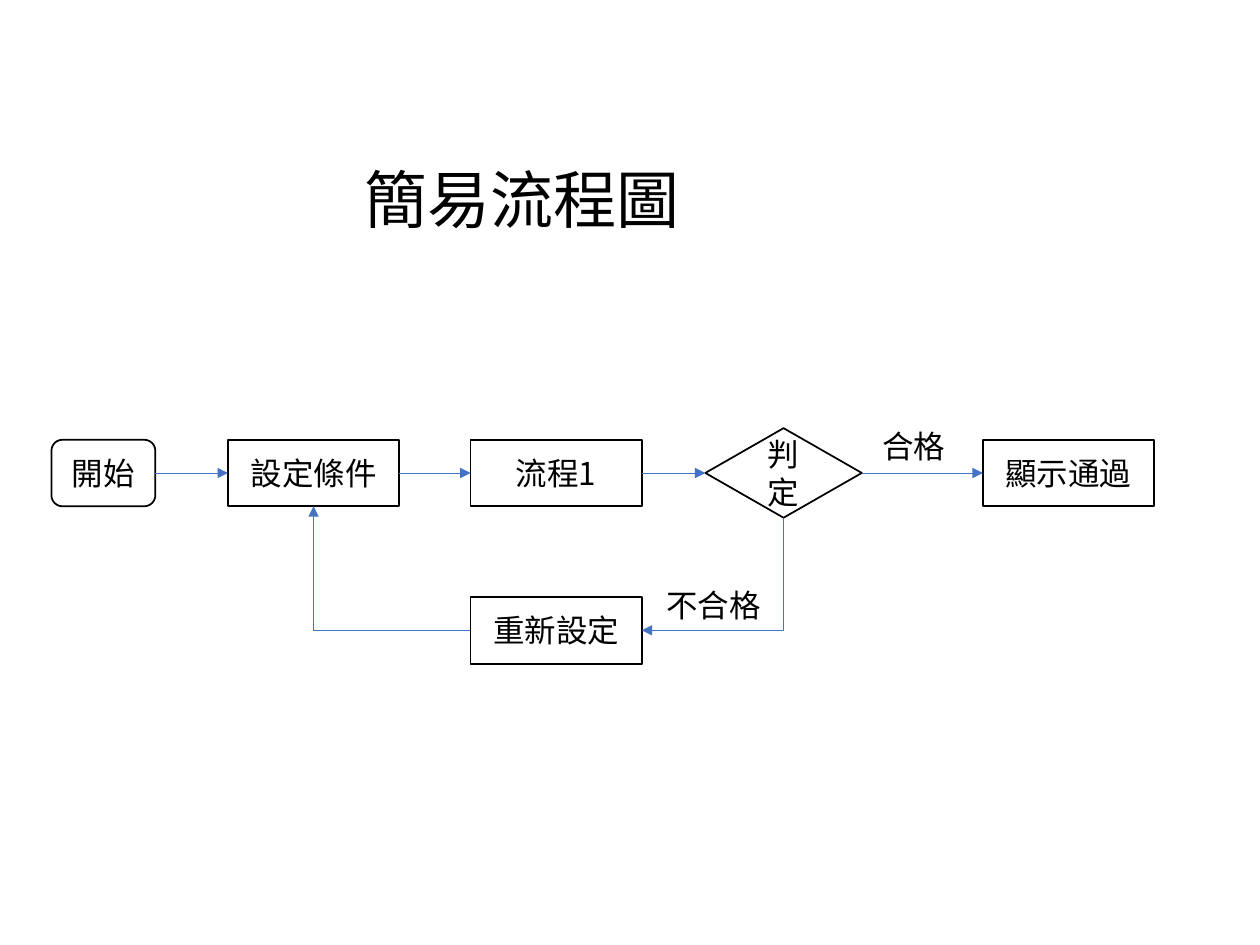
from pptx import Presentation
from pptx.dml.color import RGBColor
from pptx.enum.shapes import MSO_CONNECTOR as LINK, MSO_SHAPE as SHAPE
from pptx.enum.text import MSO_ANCHOR, MSO_AUTO_SIZE, PP_ALIGN
from pptx.oxml.ns import qn
from pptx.util import Pt
from lxml.etree import SubElement

BLACK = RGBColor(0x00, 0x00, 0x00)
WHITE = RGBColor(0xFF, 0xFF, 0xFF)
BLUE = RGBColor(0x44, 0x72, 0xC4)
FONT = "Noto Sans CJK SC"
TOP, LEFT, BOTTOM, RIGHT = range(4)  # connection sites

deck = Presentation()
deck.slide_width, deck.slide_height = Pt(720), Pt(540)
page = deck.slides.add_slide(deck.slide_layouts[6])


def write(shape, text, size):
    para = shape.text_frame.paragraphs[0]
    span = para.add_run()
    span.text = text
    span.font.size = Pt(size)
    span.font.name = FONT
    span.font.color.rgb = BLACK
    SubElement(span.font._element, qn("a:ea"), typeface=FONT)
    return para


def link(kind, start, start_site, end, end_site):
    line = page.shapes.add_connector(kind, 0, 0, 0, 0)
    line.begin_connect(start, start_site)
    line.end_connect(end, end_site)
    line.line.color.rgb = BLUE
    line.line.width = Pt(0.5)
    SubElement(line.line._get_or_add_ln(), qn("a:tailEnd"), type="triangle")
    SubElement(line._element.spPr, qn("a:effectLst"))
    return line


# Steps: left, middle, width, height; the rows share two middle lines
ROW, LOOP_ROW = 270.3, 360.2
STEP_W, STEP_H = 97.8, 38
steps = {}
for text, kind, left, middle, width, height in [
    ("開始", SHAPE.FLOWCHART_ALTERNATE_PROCESS, 29.4, ROW, 59.4, STEP_H),
    ("設定條件", SHAPE.FLOWCHART_PROCESS, 130.3, ROW, STEP_W, STEP_H),
    ("流程1", SHAPE.FLOWCHART_PROCESS, 268.9, ROW, STEP_W, STEP_H),
    ("判定", SHAPE.FLOWCHART_DECISION, 403.1, ROW, 89.4, 51.2),
    ("顯示通過", SHAPE.FLOWCHART_PROCESS, 561.6, ROW, STEP_W, STEP_H),
    ("重新設定", SHAPE.FLOWCHART_PROCESS, 268.9, LOOP_ROW, STEP_W, STEP_H),
]:
    step = page.shapes.add_shape(
        kind, Pt(left), Pt(middle - height / 2), Pt(width), Pt(height))
    step.shadow.inherit = False
    step.fill.background()
    step.line.color.rgb = BLACK
    step.line.width = Pt(1)
    step.text_frame.word_wrap = True
    step.text_frame.vertical_anchor = MSO_ANCHOR.MIDDLE
    write(step, text, 18).alignment = PP_ALIGN.CENTER
    steps[text] = step
steps["開始"].fill.solid()
steps["開始"].fill.fore_color.rgb = WHITE

# Straight arrows along the main row
*main_row, reset = steps.values()
for start, end in zip(main_row, main_row[1:]):
    link(LINK.STRAIGHT, start, RIGHT, end, LEFT)

# One-bend arrows of the loop back
to_reset = link(LINK.ELBOW, steps["判定"], BOTTOM, reset, RIGHT)
to_setup = link(LINK.ELBOW, reset, LEFT, steps["設定條件"], BOTTOM)
for bend in (to_reset, to_setup):
    bend._element.spPr.find(qn("a:prstGeom")).set("prst", "bentConnector2")

# Down, then left: a quarter turn about the centre of the bend
across, down = to_reset.width, to_reset.height
to_reset.left += (across - down) // 2
to_reset.top += (down - across) // 2
to_reset.width, to_reset.height = down, across
frame = to_reset._element.spPr.find(qn("a:xfrm"))
frame.attrib.pop("flipH", None)
frame.set("rot", str(90 * 60000))

# Title and branch labels
for text, size, left, top, width, height in [
    ("簡易流程圖", 36, 201.2, 88.2, 195.8, 50.9),
    ("合格", 18, 497.1, 240.5, 81.4, 29.1),
    ("不合格", 18, 373.7, 331.2, 81.4, 29.1),
]:
    box = page.shapes.add_textbox(Pt(left), Pt(top), Pt(width), Pt(height))
    box.text_frame.word_wrap = True
    box.text_frame.auto_size = MSO_AUTO_SIZE.SHAPE_TO_FIT_TEXT
    write(box, text, size)

deck.save("out.pptx")
